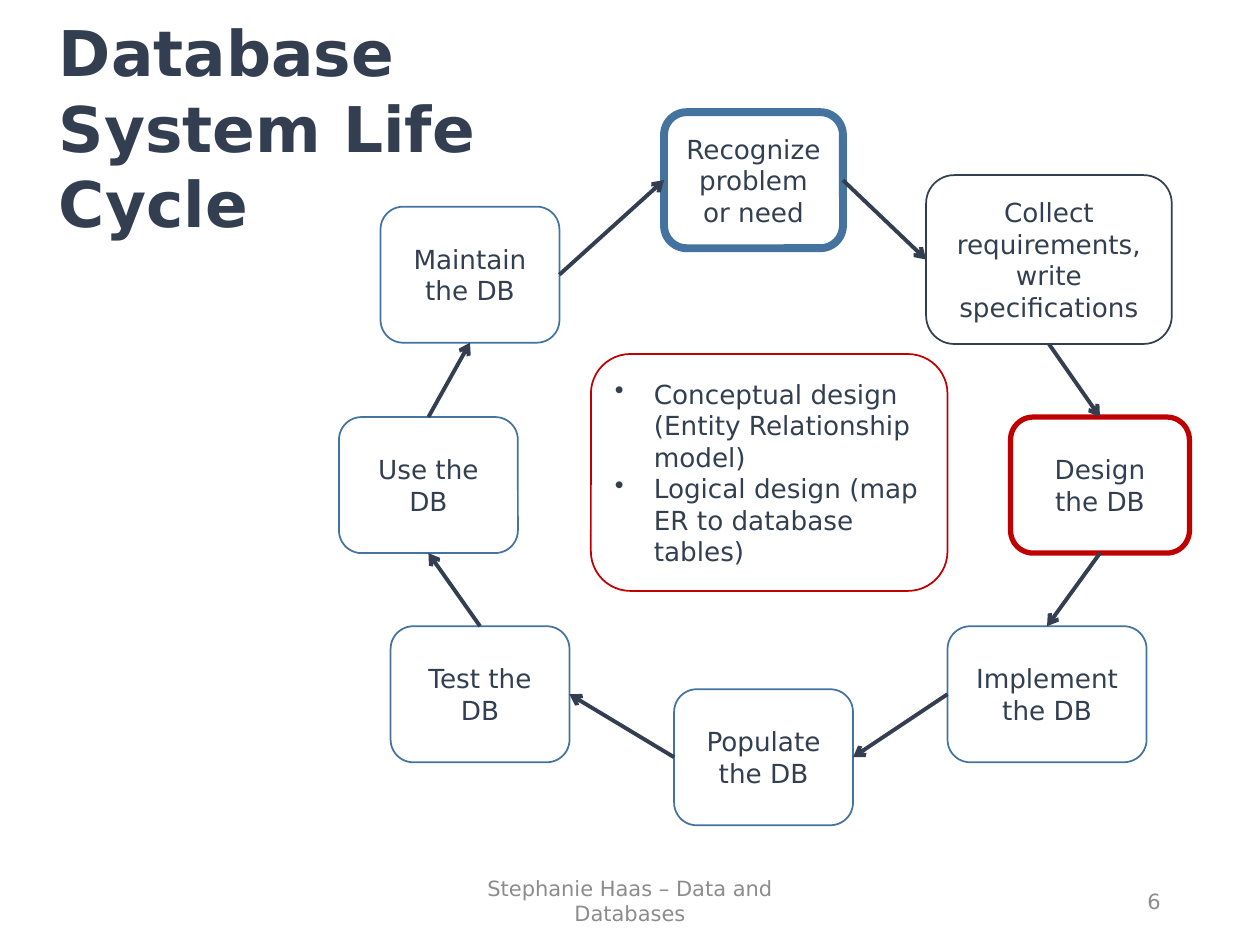
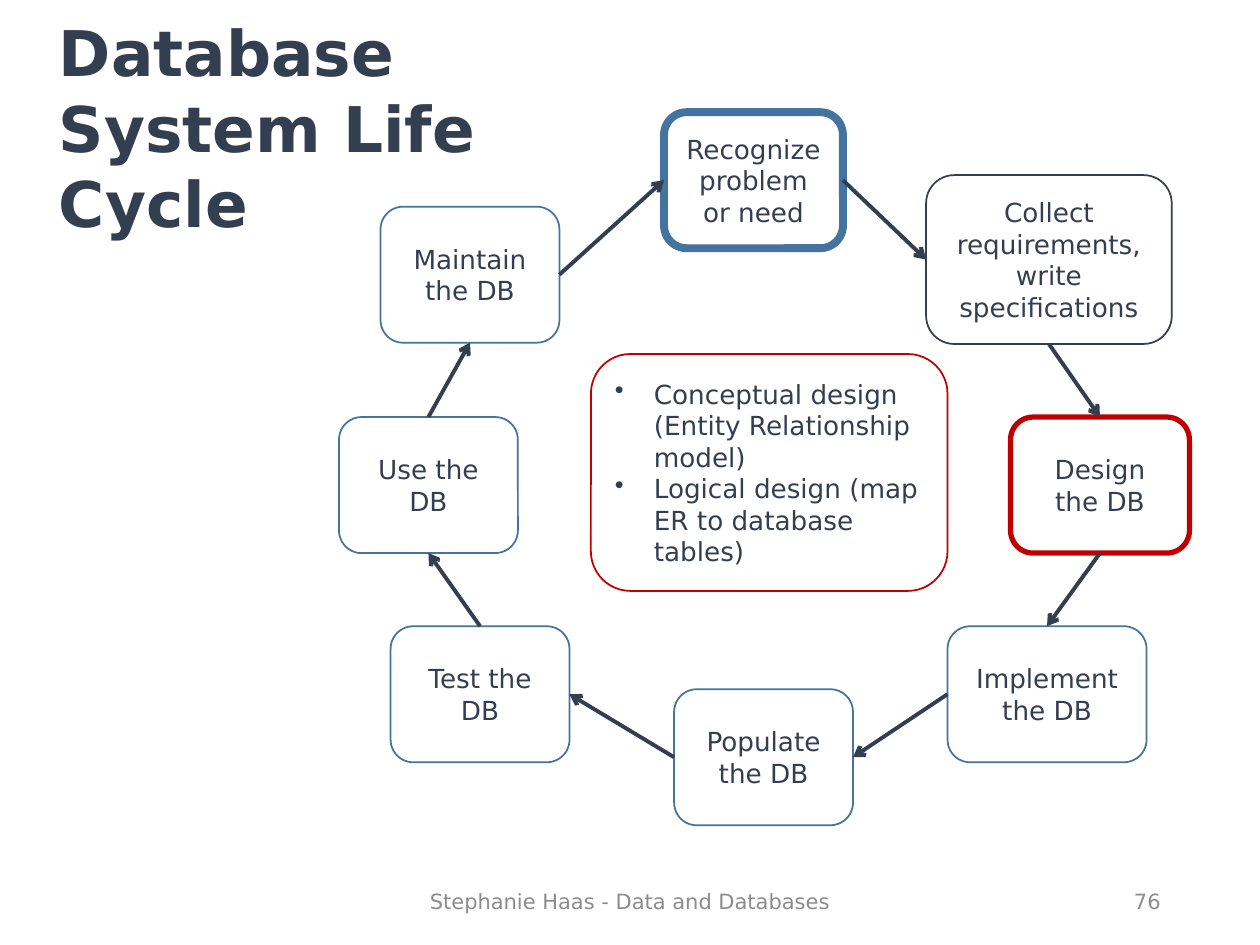
from lxml import etree
from pptx import Presentation
from pptx.dml.color import RGBColor
from pptx.enum import shapes, text
from pptx.oxml import ns
from pptx.util import Inches, Pt

FONT = "DejaVu Sans"
INK, BLUE, RED, GREY = "333F50", "43739E", "C00000", "8C8C8C"
TOP, LEFT, BOTTOM, RIGHT = range(4)
ALIGN = text.PP_ALIGN

TITLE = "Database System Life Cycle"
STAGE_SIZE = (1.42, 1.08)
STAGES = [
    ("Recognize problem or need", (2.58, 0), STAGE_SIZE, BLUE, 4.5),
    ("Collect requirements, write specifications", (4.66, 0.5), (1.95, 1.34), INK, 1),
    ("Design the DB", (5.33, 2.42), STAGE_SIZE, RED, 3),
    ("Implement the DB", (4.83, 4.08), (1.58, 1.08), BLUE, 1),
    ("Populate the DB", (2.66, 4.58), STAGE_SIZE, BLUE, 1),
    ("Test the DB", (0.41, 4.08), STAGE_SIZE, BLUE, 1),
    ("Use the DB", (0, 2.42), STAGE_SIZE, BLUE, 1),
    ("Maintain the DB", (0.33, 0.75), STAGE_SIZE, BLUE, 1),
]
EXITS = [(RIGHT, LEFT), (BOTTOM, TOP), (BOTTOM, TOP), (LEFT, RIGHT),
         (LEFT, RIGHT), (TOP, BOTTOM), (TOP, BOTTOM), (RIGHT, LEFT)]
DESIGN_STEPS = ["Conceptual design (Entity Relationship model)",
                "Logical design (map ER to database tables)"]


def color(hex_value):
    """Turn a hex string into a colour."""
    return RGBColor.from_string(hex_value)


def write(frame, lines, size, hex_value, align=ALIGN.LEFT, bold=False, bullets=False,
          anchor=text.MSO_ANCHOR.MIDDLE):
    """Fill a text frame with paragraphs of one style."""
    frame.word_wrap = True
    frame.vertical_anchor = anchor
    for number, line in enumerate(lines):
        paragraph = frame.add_paragraph() if number else frame.paragraphs[0]
        paragraph.text = line
        paragraph.alignment = align
        if bullets:
            properties = paragraph._p.get_or_add_pPr()
            properties.set("marL", str(Inches(0.31)))
            properties.set("indent", str(-Inches(0.31)))
            etree.SubElement(properties, ns.qn("a:buChar"), char="•")
        font = paragraph.font
        font.name, font.size, font.bold = FONT, Pt(size), bold
        font.color.rgb = color(hex_value)


def label(slide, box, line, size, hex_value, **style):
    """Place one line of free text in a box given in inches."""
    area = slide.shapes.add_textbox(*map(Inches, box))
    write(area.text_frame, [line], size, hex_value, **style)


def rounded_box(slide, box, lines, outline, width, **style):
    """Draw an unfilled rounded box with text."""
    panel = slide.shapes.add_shape(shapes.MSO_SHAPE.ROUNDED_RECTANGLE, *map(Inches, box))
    panel.shadow.inherit = False
    panel.fill.background()
    panel.line.color.rgb = color(outline)
    panel.line.width = Pt(width)
    write(panel.text_frame, lines, 15, INK, **style)
    return panel


def arrow(slide, source, source_side, target, target_side):
    """Join two stages with an arrow."""
    link = slide.shapes.add_connector(shapes.MSO_CONNECTOR.STRAIGHT, 0, 0, 0, 0)
    link.begin_connect(source, source_side)
    link.end_connect(target, target_side)
    link.line.color.rgb = color(INK)
    link.line.width = Pt(2.25)
    etree.SubElement(link.line._get_or_add_ln(), ns.qn("a:tailEnd"), type="arrow")
    etree.SubElement(link._element.spPr, ns.qn("a:effectLst"))


def life_cycle(slide, left, top):
    """Draw the ring of stages, its arrows and the design panel."""
    ring = [rounded_box(slide, (left + x, top + y, *size), [name], outline, width,
                        align=ALIGN.CENTER)
            for name, (x, y), size, outline, width in STAGES]
    for stage, following, sides in zip(ring, ring[1:] + ring[:1], EXITS):
        arrow(slide, stage, sides[0], following, sides[1])
    rounded_box(slide, (left + 2, top + 1.92, 2.83, 1.88), DESIGN_STEPS, RED, 1, bullets=True)


def footer(slide, left, top, credit, number):
    """Write the credit and the slide number."""
    label(slide, (left, top, 3.38, 0.4), credit, 12, GREY, align=ALIGN.CENTER)
    label(slide, (left + 3.75, top, 2.25, 0.4), number, 12, GREY, align=ALIGN.RIGHT)


def cycle_slide(deck, credit, number):
    """Add one life cycle slide."""
    slide = deck.slides.add_slide(deck.slide_layouts[6])
    life_cycle(slide, 2.69, 0.89)
    footer(slide, 3.31, 6.95, credit, number)
    label(slide, (0.37, 0.06, 3.54, 1.92), TITLE, 36, INK, bold=True,
          anchor=text.MSO_ANCHOR.TOP)


def main():
    """Build and save the deck."""
    deck = Presentation()
    deck.slide_width, deck.slide_height = Inches(10), Inches(7.5)
    cycle_slide(deck, "Stephanie Haas – Data and Databases", "6")
    cycle_slide(deck, "Stephanie Haas - Data and Databases", "76")
    deck.save("out.pptx")


if __name__ == "__main__":
    main()
